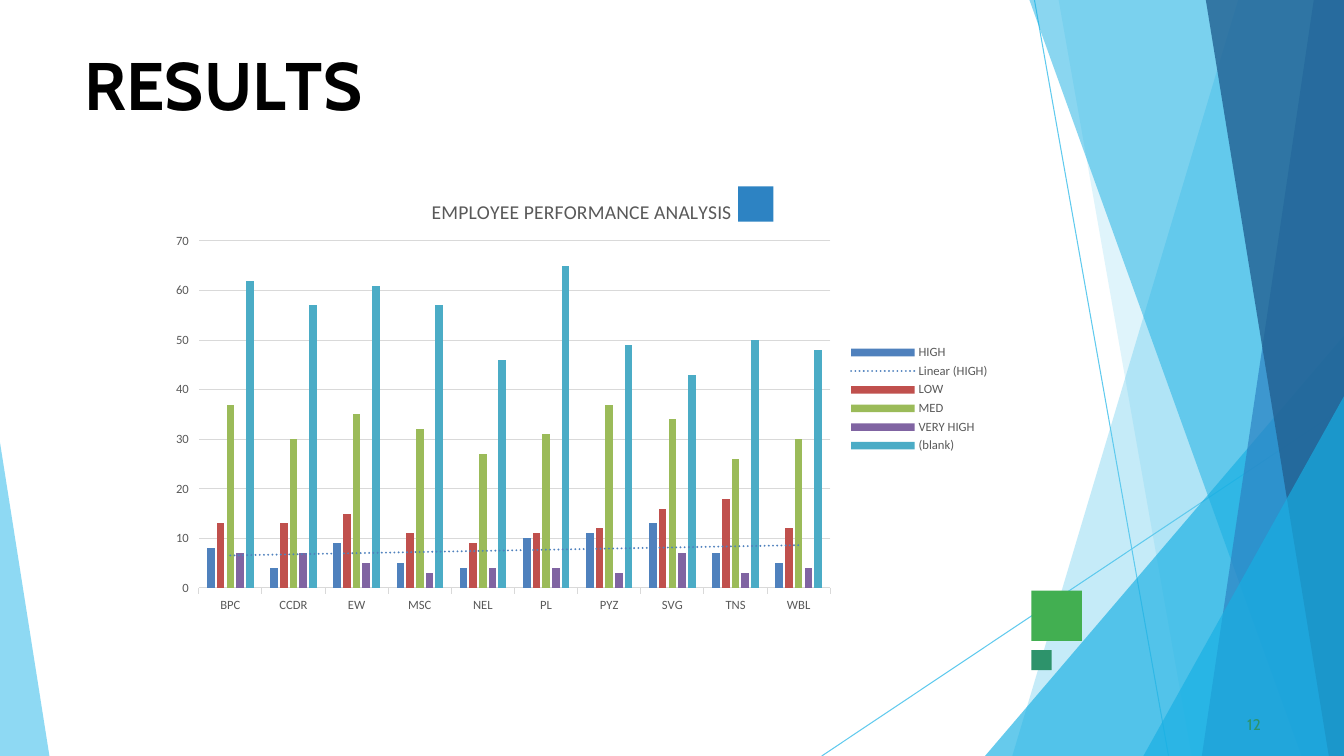
from pptx import Presentation
from pptx.chart.data import CategoryChartData
from pptx.dml.color import RGBColor
from pptx.enum.chart import XL_CHART_TYPE, XL_LEGEND_POSITION, XL_TICK_MARK
from pptx.enum.shapes import MSO_CONNECTOR, MSO_SHAPE
from pptx.oxml import parse_xml
from pptx.oxml.ns import nsdecls, qn
from pptx.oxml.xmlchemy import OxmlElement
from pptx.util import Inches, Pt

COLUMNS = XL_CHART_TYPE.COLUMN_CLUSTERED
RIGHT = XL_LEGEND_POSITION.RIGHT
OUTSIDE = XL_TICK_MARK.OUTSIDE
STRAIGHT = MSO_CONNECTOR.STRAIGHT
SQUARE = MSO_SHAPE.RECTANGLE

BLACK = RGBColor(0x00, 0x00, 0x00)
GREY = RGBColor(0x59, 0x59, 0x59)
SILVER = RGBColor(0xD9, 0xD9, 0xD9)
SKY = RGBColor(0x5F, 0xCA, 0xEE)
CYAN = RGBColor(0x17, 0xAF, 0xE3)
BLUE = RGBColor(0x2D, 0x83, 0xC3)
NAVY = RGBColor(0x22, 0x61, 0x92)
GREEN = RGBColor(0x42, 0xAF, 0x51)
TEAL = RGBColor(0x2D, 0x93, 0x6B)
W, H = 13.33, 7.5

deck = Presentation()
deck.slide_width, deck.slide_height = Inches(W), Inches(H)
slide = deck.slides.add_slide(deck.slide_layouts[6])
shapes = slide.shapes

# Thin lines and translucent facets
for ends in [(10.26, 0, 11.59, H), (W, 4.04, 8.15, H)]:
    line = shapes.add_connector(STRAIGHT, *map(Inches, ends))
    line.line.color.rgb = SKY
    line.line.width = Pt(0.75)
    line.element.spPr.append(OxmlElement("a:effectLst"))

facets = [
    (SKY, 36, [(W, 0), (12.28, 0), (10.04, H), (W, H)]),
    (SKY, 20, [(W, 0), (10.5, 0), (11.82, H), (W, H)]),
    (CYAN, 66, [(W, 3.33), (9.77, H), (W, H)]),
    (CYAN, 50, [(W, 0), (10.21, 0), (12.91, H), (W, H)]),
    (BLUE, 70, [(W, 0), (13.03, 0), (11.92, H), (W, H)]),
    (NAVY, 80, [(W, 0), (11.96, 0), (13.18, H), (W, H)]),
    (CYAN, 66, [(W, 3.93), (11.34, H), (W, H)]),
    (SKY, 70, [(0, 4.39), (0, H), (0.49, H)]),
]
for color, percent, points in facets:
    first, *rest = [(Inches(x), Inches(y)) for x, y in points]
    pen = shapes.build_freeform(*first)
    pen.add_line_segments(rest, close=True)
    facet = pen.convert_to_shape()
    facet.shadow.inherit = False
    facet.fill.solid()
    facet.fill.fore_color.rgb = color
    facet.line.fill.background()
    alpha = OxmlElement("a:alpha")
    alpha.set("val", str(percent * 1000))
    facet.element.spPr.find(qn("a:solidFill"))[0].append(alpha)

for color, left, top, size in [(GREEN, 10.23, 5.86, 0.5),
                               (BLUE, 7.32, 1.85, 0.35),
                               (TEAL, 10.23, 6.45, 0.2)]:
    square = shapes.add_shape(SQUARE, *map(Inches, (left, top, size, size)))
    square.shadow.inherit = False
    square.fill.solid()
    square.fill.fore_color.rgb = color
    square.line.fill.background()


def add_label(box, runs, size, color, bold, before, indent):
    """Add a text box; runs are (text, letter spacing in points)."""
    frame = shapes.add_textbox(*map(Inches, box)).text_frame
    frame.word_wrap = True
    frame.margin_left = frame.margin_right = frame.margin_bottom = 0
    frame.margin_top = Inches(0.01)
    para = frame.paragraphs[0]
    para.space_before = Pt(before)
    para.font.name, para.font.size, para.font.bold = "Cabin", Pt(size), bold
    para.font.color.rgb = color
    para._p.get_or_add_pPr().set("marL", str(Inches(indent)))
    for text, gap in runs:
        run = para.add_run()
        run.text = text
        run._r.get_or_add_rPr().set("spc", str(round(gap * 100)))


add_label((0.83, 0.42, 3.18, 0.81),
          [("R", 0), ("E", -0.4), ("S", 0.1), ("U", -0.3), ("L", -4), ("TS", 0)],
          48, BLACK, True, 1.1, 0.01)
add_label((12.33, 7.08, 0.25, 0.21), [("12", 0.1)], 11, TEAL, False, 0.6, 0.04)

# Chart
series = [
    ("HIGH", "4F81BD", [8, 4, 9, 5, 4, 10, 11, 13, 7, 5]),
    ("LOW", "C0504D", [13, 13, 15, 11, 9, 11, 12, 16, 18, 12]),
    ("MED", "9BBB59", [37, 30, 35, 32, 27, 31, 37, 34, 26, 30]),
    ("VERY HIGH", "8064A2", [7, 7, 5, 3, 4, 4, 3, 7, 3, 4]),
    ("(blank)", "4BACC6", [62, 57, 61, 57, 46, 65, 49, 43, 50, 48]),
]
data = CategoryChartData()
data.categories = ["BPC", "CCDR", "EW", "MSC", "NEL",
                   "PL", "PYZ", "SVG", "TNS", "WBL"]
for name, _, values in series:
    data.add_series(name, values)
box = map(Inches, (1.58, 1.75, 8.33, 4.42))
chart = shapes.add_chart(COLUMNS, *box, data).chart
chart.font.name, chart.font.size = "Calibri", Pt(9)
chart.font.color.rgb = GREY

chart.has_title = True
title = chart.chart_title.text_frame
title.text = "EMPLOYEE PERFORMANCE ANALYSIS"
font = title.paragraphs[0].font
font.name, font.size, font.bold = "Calibri", Pt(14), False
font.color.rgb = GREY

chart.has_legend = True
chart.legend.position = RIGHT
chart.legend.include_in_layout = False

rows, cols = chart.value_axis, chart.category_axis
rows.minimum_scale, rows.maximum_scale, rows.major_unit = 0, 70, 10
rows.major_tick_mark = cols.major_tick_mark = OUTSIDE
rows.format.line.fill.background()
for line in (cols.format.line, rows.major_gridlines.format.line):
    line.color.rgb = SILVER
    line.width = Pt(0.75)

plot = chart.plots[0]
plot.gap_width, plot.overlap = 219, -27
plot.vary_by_categories = False
for bars, (_, color, _) in zip(plot.series, series):
    bars.format.fill.solid()
    bars.format.fill.fore_color.rgb = RGBColor.from_string(color)

trend = parse_xml(
    f'<c:trendline {nsdecls("c", "a")}><c:spPr><a:ln w="{Pt(1.5)}" cap="rnd">'
    '<a:solidFill><a:srgbClr val="4F81BD"/></a:solidFill>'
    '<a:prstDash val="sysDot"/></a:ln></c:spPr>'
    '<c:trendlineType val="linear"/><c:dispRSqr val="0"/>'
    '<c:dispEq val="0"/></c:trendline>')
plot.series[0]._element.find(qn("c:cat")).addprevious(trend)

# Chart parts, placed as shares of the chart frame
root = chart.element.find(qn("c:chart"))
places = [
    ("c:title", 1, {"x": 0.32, "y": 0.04}),
    ("c:plotArea", 0, {"x": 0.047, "y": 0.145, "w": 0.752, "h": 0.779}),
    ("c:legend", 1, {"x": 0.82, "y": 0.37, "w": 0.17, "h": 0.26}),
]
for tag, index, shares in places:
    part = root.find(qn(tag))
    for old in part.findall(qn("c:layout")):
        part.remove(old)
    inner = '<c:layoutTarget val="inner"/>' if tag == "c:plotArea" else ""
    modes = "".join(f'<c:{key}Mode val="edge"/>' for key in "xy")
    sizes = "".join(f'<c:{key} val="{val}"/>' for key, val in shares.items())
    part.insert(index, parse_xml(
        f'<c:layout {nsdecls("c")}><c:manualLayout>{inner}{modes}{sizes}'
        '</c:manualLayout></c:layout>'))

deck.save("out.pptx")
